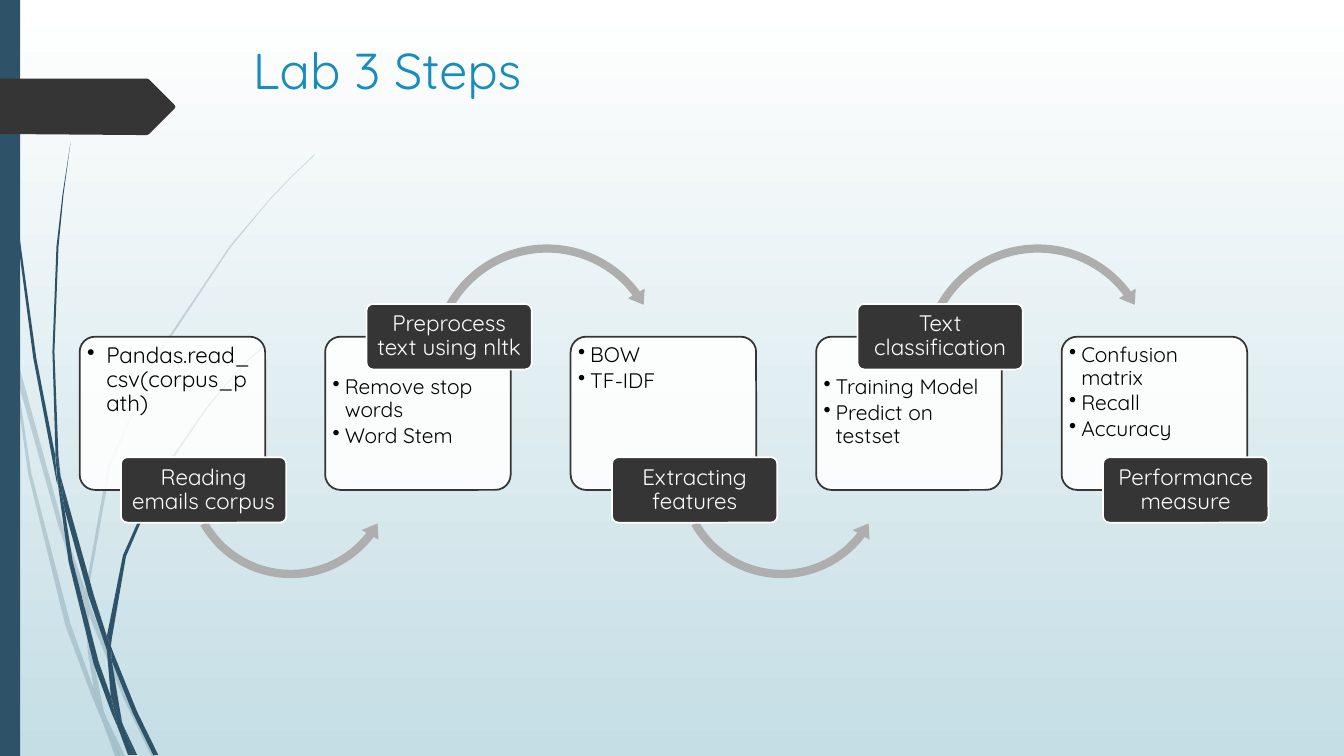
from dataclasses import dataclass

from lxml import etree
from pptx import Presentation
from pptx.dml.color import RGBColor
from pptx.enum.shapes import MSO_SHAPE
from pptx.enum.text import MSO_ANCHOR, PP_ALIGN
from pptx.oxml.ns import qn
from pptx.util import Inches, Pt

RECT, ROUND = MSO_SHAPE.RECTANGLE, MSO_SHAPE.ROUNDED_RECTANGLE
ARC_OVER, ARC_UNDER = MSO_SHAPE.CIRCULAR_ARROW, MSO_SHAPE.LEFT_CIRCULAR_ARROW
LEFT, CENTER = PP_ALIGN.LEFT, PP_ALIGN.CENTER
TOP, MIDDLE = MSO_ANCHOR.TOP, MSO_ANCHOR.MIDDLE


@dataclass(frozen=True)
class Theme:
    font: str = "Quicksand"
    title: str = "178DBB"
    navy: str = "2E5369"
    dark: str = "353535"
    arrow: str = "AEAEAE"
    white: str = "FFFFFF"
    black: str = "000000"
    sky: str = "C5DEE5"
    title_size: int = 36
    label_size: int = 16
    bullet_size: int = 15
    line: float = 1.25


T = Theme()

# Outlines in hundredths of an inch
PALE_WISPS = [
    "11,350 9,322 0,282 0,299 10,344",
    "58,522 84,599 85,586 62,520 14,345 17,376",
    "92,607 88,596 88,610 123,694 150,750 155,750 127,692",
    "119,750 124,750 105,711",
    "93,683 70,619 31,469 17,376 11,350 28,470 65,621 92,693 101,714 99,707",
    "84,599 87,646 93,683 96,692 105,711 103,706 91,646 88,610 88,608",
    "88,584 110,462 160,349 229,245 268,198 290,175 312,154 312,153 289,175 268,197 "
    "228,244 158,348 107,461 85,584 85,586 88,596",
    "101,714 114,750 119,750",
    "88,608 88,610 88,596 85,586 84,599",
    "96,692 93,683 99,707 101,714 119,750 105,711",
]
NAVY_WISPS = [
    "7,110 17,233 33,355 56,477 57,481 55,457 55,453 36,355 19,232 8,109 5,48 4,0 3,0 4,48",
    "88,592 106,645 106,633 106,631 93,590 60,472 64,505",
    "113,649 110,641 111,656 132,708 152,749 157,749 136,706",
    "110,691 98,657 72,556 64,505 57,477 68,557 93,659 111,708 117,722 116,717",
    "60,472 58,453 54,349 58,245 63,193 70,141 62,193 56,245 52,349 55,449",
    "133,749 136,749 122,719",
    "57,477 64,505 60,472 55,449 55,453",
    "111,633 125,552 158,476 205,406 231,374 245,359 261,344 260,344 245,358 231,373 "
    "204,405 156,474 122,551 106,631 110,641",
    "117,722 127,749 131,749",
    "106,645 110,691 116,706 122,719 121,716 111,656 109,651",
    "106,645 109,651 111,656 110,641 106,631 106,633",
    "116,706 110,691 116,717 117,722 130,749 133,749 122,719",
]
PAGE_TAG = "173,108 148,133 146,134 136,134 0,133 0,78 136,78 146,78 148,79 173,104 174,106"

# Label, bullets, bullet size, bullet indent
STEPS = [
    ("Reading emails corpus", ["Pandas.read_csv(corpus_path)"], T.label_size, 0.19),
    ("Preprocess text using nltk", ["Remove stop words", "Word Stem"], T.bullet_size, 0.12),
    ("Extracting features", ["BOW", "TF-IDF"], T.bullet_size, 0.12),
    ("Text classification", ["Training Model", "Predict on testset"], T.bullet_size, 0.12),
    ("Performance measure", ["Confusion matrix", "Recall", "Accuracy"], T.bullet_size, 0.12),
]


def rgb(value):
    return RGBColor.from_string(value)


def paint(sp, fill, alpha=100, line=None):
    sp.shadow.inherit = False
    sp.fill.solid()
    sp.fill.fore_color.rgb = rgb(fill)
    if alpha < 100:
        color = sp._element.spPr.find(qn("a:solidFill"))[0]
        etree.SubElement(color, qn("a:alpha"), val=str(alpha * 1000))
    if line:
        sp.line.color.rgb = rgb(line)
        sp.line.width = Pt(T.line)
    else:
        sp.line.fill.background()


def add_preset(s, kind, box, adjustments=(), **look):
    sp = s.shapes.add_shape(kind, *(Inches(v) for v in box))
    for i, value in enumerate(adjustments):
        sp.adjustments[i] = value
    paint(sp, **look)
    return sp


def add_outline(s, outline, **look):
    points = [tuple(int(v) for v in pair.split(",")) for pair in outline.split()]
    builder = s.shapes.build_freeform(*points[0], scale=Inches(0.01))
    builder.add_line_segments(points[1:], close=True)
    paint(builder.convert_to_shape(), **look)


def set_text(sp, lines, size, color, align=LEFT, anchor=TOP, insets=(0.1, 0.05, 0.1, 0.05),
             spacing=1.0, after=0, indent=None):
    """Fill a shape with paragraphs; an indent in inches makes them bullets."""
    tf = sp.text_frame
    tf.word_wrap = True
    tf.vertical_anchor = anchor
    tf.margin_left, tf.margin_top, tf.margin_right, tf.margin_bottom = map(Inches, insets)
    for i, line in enumerate(lines):
        p = tf.add_paragraph() if i else tf.paragraphs[0]
        p.alignment, p.line_spacing, p.space_after = align, spacing, Pt(after)
        if indent:
            pPr = p._p.get_or_add_pPr()
            pPr.set("marL", str(Inches(indent)))
            pPr.set("indent", str(-Inches(indent)))
            etree.SubElement(pPr, qn("a:buChar"), char="•")
        r = p.add_run()
        r.text = line
        r.font.name, r.font.size, r.font.color.rgb = T.font, Pt(size), rgb(color)


def add_backdrop(s, height):
    fill = s.background.fill
    fill.gradient()
    fill.gradient_angle = 270
    for stop, color in zip(fill.gradient_stops, (T.white, T.sky)):
        stop.color.rgb = rgb(color)
    for wisp in PALE_WISPS:
        add_outline(s, wisp, fill=T.navy, alpha=20)
    for wisp in NAVY_WISPS:
        add_outline(s, wisp, fill=T.navy)
    add_preset(s, RECT, (0, 0, 0.2, height), fill=T.navy)
    add_outline(s, PAGE_TAG, fill=T.dark)


def add_title(s, text, box):
    tb = s.shapes.add_textbox(*(Inches(v) for v in box))
    set_text(tb, [text], T.title_size, T.title)


def add_step(s, step, box, label_above, has_next):
    label, bullets, size, indent = step
    x, y, w, h = box
    card = add_preset(s, ROUND, box, [0.1], fill=T.white, alpha=90, line=T.dark)
    top = 0.35 if label_above else 0.03
    set_text(card, bullets, size, T.black, insets=(0.03, top, 0.03, 0.03),
             spacing=0.9, after=0.15 * size, indent=indent)
    if has_next and label_above:
        add_preset(s, ARC_OVER, (x + 1, y - 0.97, 2.4, 2.4),
                   (0.034, 4.196, 194.049, 125.755, 0.04), fill=T.arrow)
    elif has_next:
        add_preset(s, ARC_UNDER, (x + 1.01, y + 0.28, 2.17, 2.17),
                   (0.038, 4.693, 22.449, 90.245, 0.044), fill=T.arrow)
    label_h = 0.65
    label_y = (y if label_above else y + h) - label_h / 2
    tag = add_preset(s, ROUND, (x + 0.41, label_y, 1.64, label_h), [0.1],
                     fill=T.dark, line=T.white)
    set_text(tag, [label], T.label_size, T.white, align=CENTER, anchor=MIDDLE,
             insets=(0.03, 0.02, 0.03, 0.02), spacing=0.9)


def add_process(s, steps, box):
    x, y, w, h = box
    card_w = 1.84
    pitch = (w - card_w) / (len(steps) - 1)
    for i, step in enumerate(steps):
        add_step(s, step, (x + i * pitch, y, card_w, h), i % 2 == 1, i < len(steps) - 1)


def main():
    prs = Presentation()
    prs.slide_width, prs.slide_height = Inches(13.33), Inches(7.5)
    s = prs.slides.add_slide(prs.slide_layouts[6])
    add_backdrop(s, 7.5)
    add_title(s, "Lab 3 Steps", (2.41, 0.34, 9.75, 1.4))
    add_process(s, STEPS, (0.79, 3.34, 11.58, 1.52))
    prs.save("out.pptx")


if __name__ == "__main__":
    main()
